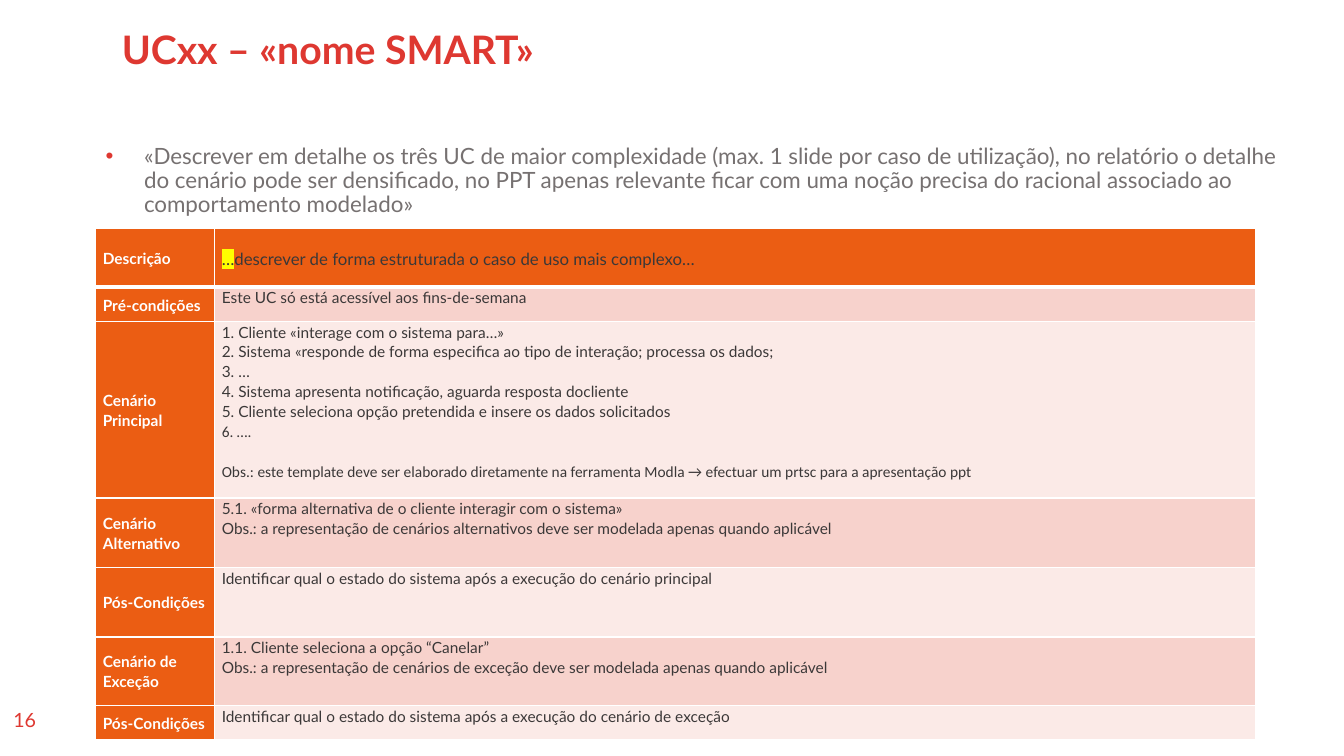
from dataclasses import dataclass

from lxml import etree
from pptx import Presentation
from pptx.dml.color import RGBColor
from pptx.enum.text import MSO_ANCHOR, PP_ALIGN
from pptx.oxml.ns import qn
from pptx.util import Inches, Pt

LEFT, CENTER, JUSTIFY = PP_ALIGN.LEFT, PP_ALIGN.CENTER, PP_ALIGN.JUSTIFY
TOP, MIDDLE = MSO_ANCHOR.TOP, MSO_ANCHOR.MIDDLE

RED = "DE3831"
ORANGE = "EB5D13"
WHITE = "FFFFFF"
GREY = "767171"
DARK = "3B3838"
YELLOW = "FFFF00"
BANDS = ("FBEAE7", "F7D2CC")

COLUMN_WIDTHS = (1.18, 10.32)
THIN, THICK = 1, 3


@dataclass(frozen=True)
class TextRun:
    text: str
    size: float
    color: str
    bold: bool = False
    font: str = "Lato"
    highlight: str = ""


@dataclass(frozen=True)
class Line:
    runs: tuple[TextRun, ...]
    space_before: float = 0


@dataclass(frozen=True)
class UseCaseRow:
    label: str
    height: float
    lines: tuple[Line, ...]


def detail(text: str, font: str = "Lato", space_before: float = 0) -> Line:
    return Line((TextRun(text, 11, DARK, font=font),), space_before)


USE_CASE_ROWS = (
    UseCaseRow("Descrição", 0.58, (Line((
        TextRun("…", 12, DARK, highlight=YELLOW),
        TextRun("descrever de forma estruturada o caso de uso mais complexo…", 12, DARK),
    )),)),
    UseCaseRow("Pré-condições", 0.34, (
        detail("Este UC só está acessível aos fins-de-semana"),
    )),
    UseCaseRow("Cenário Principal", 1.75, (
        detail("1. Cliente «interage com o sistema para…»"),
        detail("2. Sistema «responde de forma especifica ao tipo de interação; processa os dados;"),
        detail("3. …"),
        detail("4. Sistema apresenta notificação, aguarda resposta docliente"),
        detail("5. Cliente seleciona opção pretendida e insere os dados solicitados"),
        detail("6. ….", "Calibri"),
        detail("Obs.: este template deve ser elaborado diretamente na ferramenta Modla"
               " → efectuar um prtsc para a apresentação ppt", "Calibri", 14.3),
    )),
    UseCaseRow("Cenário Alternativo", 0.69, (
        detail("5.1. «forma alternativa de o cliente interagir com o sistema»"),
        detail("Obs.: a representação de cenários alternativos deve ser modelada"
               " apenas quando aplicável"),
    )),
    UseCaseRow("Pós-Condições", 0.69, (
        detail("Identificar qual o estado do sistema após a execução do cenário principal"),
    )),
    UseCaseRow("Cenário de Exceção", 0.68, (
        detail("1.1. Cliente seleciona a opção “Canelar”"),
        detail("Obs.: a representação de cenários de exceção deve ser modelada"
               " apenas quando aplicável"),
    )),
    UseCaseRow("Pós-Condições", 0.34, (
        detail("Identificar qual o estado do sistema após a execução do cenário de exceção"),
    )),
)


def rgb(color: str) -> RGBColor:
    return RGBColor.from_string(color)


def add_color(parent, tag: str, color: str):
    element = etree.SubElement(parent, qn(tag))
    etree.SubElement(element, qn("a:srgbClr")).set("val", color)
    return element


def add_run(paragraph, text_run: TextRun) -> None:
    run = paragraph.add_run()
    run.text = text_run.text
    run.font.size = Pt(text_run.size)
    run.font.bold = text_run.bold
    run.font.color.rgb = rgb(text_run.color)
    if text_run.highlight:
        add_color(run.font._element, "a:highlight", text_run.highlight)
    run.font.name = text_run.font


def write_lines(text_frame, lines: tuple[Line, ...], alignment, spacing: float) -> None:
    for index, line in enumerate(lines):
        paragraph = text_frame.add_paragraph() if index else text_frame.paragraphs[0]
        paragraph.alignment = alignment
        paragraph.line_spacing = spacing
        if line.space_before:
            paragraph.space_before = Pt(line.space_before)
        for text_run in line.runs:
            add_run(paragraph, text_run)


def add_text(slide, left: float, top: float, width: float, height: float,
             text_run: TextRun, alignment=LEFT, spacing: float = 1.0):
    box = slide.shapes.add_textbox(Inches(left), Inches(top), Inches(width), Inches(height))
    box.text_frame.word_wrap = True
    write_lines(box.text_frame, (Line((text_run,)),), alignment, spacing)
    return box


def add_bullet(paragraph, color: str, indent: float) -> None:
    properties = paragraph._p.get_or_add_pPr()
    properties.set("marL", str(Inches(indent)))
    properties.set("indent", str(-Inches(indent)))
    add_color(properties, "a:buClr", color)
    etree.SubElement(properties, qn("a:buFont")).set("typeface", "Arial")
    etree.SubElement(properties, qn("a:buChar")).set("char", "•")


def style_cell(cell, fill: str, anchor, top_border: int, bottom_border: int) -> None:
    properties = cell._tc.get_or_add_tcPr()
    borders = {"a:lnL": THIN, "a:lnR": THIN, "a:lnT": top_border, "a:lnB": bottom_border}
    for tag, width in borders.items():
        border = etree.SubElement(properties, qn(tag))
        border.set("w", str(Pt(width)))
        add_color(border, "a:solidFill", WHITE)
    cell.fill.solid()
    cell.fill.fore_color.rgb = rgb(fill)
    cell.vertical_anchor = anchor
    cell.margin_left = cell.margin_right = Inches(0.07)
    cell.margin_top = cell.margin_bottom = 0


def add_use_case_table(slide) -> None:
    height = sum(row.height for row in USE_CASE_ROWS)
    table = slide.shapes.add_table(
        len(USE_CASE_ROWS), len(COLUMN_WIDTHS), Inches(0.95), Inches(2.27),
        Inches(sum(COLUMN_WIDTHS)), Inches(height)).table
    for column, width in zip(table.columns, COLUMN_WIDTHS):
        column.width = Inches(width)
    for index, row in enumerate(USE_CASE_ROWS):
        table.rows[index].height = Inches(row.height)
        is_header = index == 0
        top_border = THICK if index == 1 else THIN
        bottom_border = THICK if is_header else THIN
        label_cell, detail_cell = table.cell(index, 0), table.cell(index, 1)
        style_cell(label_cell, ORANGE, MIDDLE, top_border, bottom_border)
        style_cell(detail_cell, ORANGE if is_header else BANDS[index % 2],
                   MIDDLE if is_header else TOP, top_border, bottom_border)
        label = Line((TextRun(row.label, 11, WHITE, bold=True),))
        write_lines(label_cell.text_frame, (label,), LEFT, 1.07)
        write_lines(detail_cell.text_frame, row.lines, JUSTIFY, 1.07)


def main() -> None:
    presentation = Presentation()
    presentation.slide_width = Inches(13.33)
    presentation.slide_height = Inches(7.5)
    slide = presentation.slides.add_slide(presentation.slide_layouts[6])

    add_text(slide, 1.11, 0.25, 10.41, 0.45,
             TextRun("UCxx – «nome SMART»", 28, RED, bold=True), spacing=0.9)
    guidance = add_text(
        slide, 0.95, 1.39, 11.82, 0.54,
        TextRun("«Descrever em detalhe os três UC de maior complexidade (max. 1 slide por caso"
                " de utilização), no relatório o detalhe do cenário pode ser densificado, no PPT"
                " apenas relevante ficar com uma noção precisa do racional associado ao"
                " comportamento modelado»", 16, GREY), spacing=0.9)
    add_bullet(guidance.text_frame.paragraphs[0], RED, 0.38)
    add_text(slide, 0.01, 6.97, 0.47, 0.4, TextRun("16", 14, RED), CENTER)
    add_use_case_table(slide)

    presentation.save("out.pptx")


if __name__ == "__main__":
    main()
